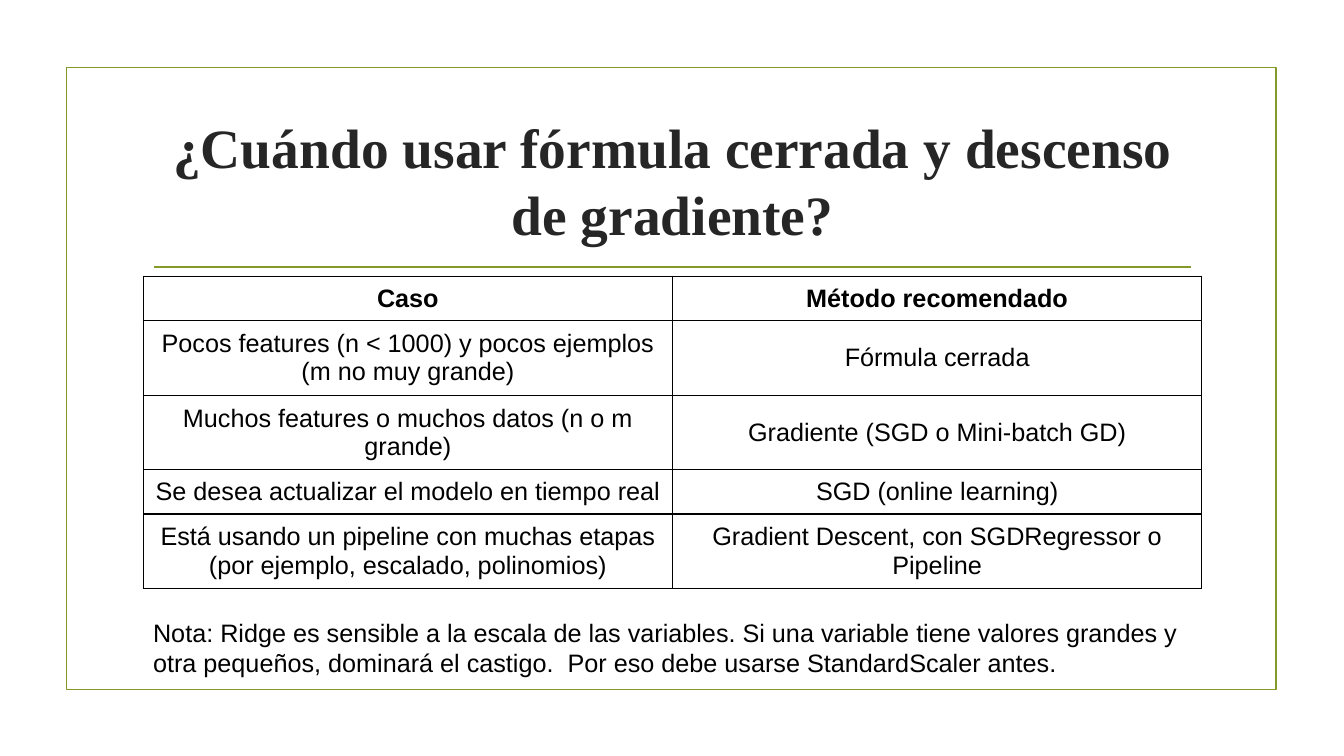
from pptx import Presentation
from pptx.dml.color import RGBColor
from pptx.enum.shapes import MSO_CONNECTOR, MSO_SHAPE
from pptx.enum.text import MSO_ANCHOR, PP_ALIGN
from pptx.oxml import parse_xml
from pptx.oxml.ns import nsdecls
from pptx.util import Inches, Pt

RECT = MSO_SHAPE.RECTANGLE
STRAIGHT = MSO_CONNECTOR.STRAIGHT
MIDDLE, TOP = MSO_ANCHOR.MIDDLE, MSO_ANCHOR.TOP
CENTER, LEFT = PP_ALIGN.CENTER, PP_ALIGN.LEFT

COLORS = {"olive": "83992A", "title": "262626", "black": "000000"}
CONTENT_LEFT, CONTENT_WIDTH = 1.42, 10.5


def write(tf, text, size=18, font="Arial", color="black", bold=False, align=LEFT):
    tf.word_wrap = True
    p = tf.paragraphs[0]
    p.alignment = align
    r = p.add_run()
    r.text = text
    r.font.size = Pt(size)
    r.font.name = font
    r.font.bold = bold
    r.font.color.rgb = RGBColor.from_string(COLORS[color])


def add_borders(cell):
    tc_pr = cell._tc.get_or_add_tcPr()
    for i, side in enumerate(("lnL", "lnR", "lnT", "lnB")):
        tc_pr.insert(i, parse_xml(
            f'<a:{side} {nsdecls("a")} w="{Pt(1)}"><a:solidFill>'
            f'<a:srgbClr val="{COLORS["black"]}"/></a:solidFill></a:{side}>'))


prs = Presentation()
prs.slide_width, prs.slide_height = Inches(13.33), Inches(7.5)
s = prs.slides.add_slide(prs.slide_layouts[6])

# Frame and title rule
olive = RGBColor.from_string(COLORS["olive"])
frame = s.shapes.add_shape(RECT, Inches(0.66), Inches(0.67), Inches(12), Inches(6.17))
frame.shadow.inherit = False
frame.fill.background()
rule = s.shapes.add_connector(STRAIGHT, Inches(1.53), Inches(2.65),
                              Inches(11.81), Inches(2.65))
rule._element.spPr.append(parse_xml(f'<a:effectLst {nsdecls("a")}/>'))
for sp in (frame, rule):
    sp.line.color.rgb = olive
    sp.line.width = Pt(1.25)

# Title and note
texts = [
    (1.07, 1.43, MIDDLE, "¿Cuándo usar fórmula cerrada y descenso de gradiente?",
     {"size": 39.6, "font": "Times New Roman", "color": "title",
      "bold": True, "align": CENTER}),
    (6.07, 0.71, TOP,
     "Nota: Ridge es sensible a la escala de las variables. Si una variable tiene "
     "valores grandes y otra pequeños, dominará el castigo.  Por eso debe usarse "
     "StandardScaler antes.", {}),
]
for top, height, anchor, text, style in texts:
    sp = s.shapes.add_textbox(Inches(CONTENT_LEFT), Inches(top),
                              Inches(CONTENT_WIDTH), Inches(height))
    sp.text_frame.vertical_anchor = anchor
    write(sp.text_frame, text, **style)

# Table of cases and methods
rows = [
    (0.44, "Caso", "Método recomendado"),
    (0.74, "Pocos features (n < 1000) y pocos ejemplos (m no muy grande)",
     "Fórmula cerrada"),
    (0.74, "Muchos features o muchos datos (n o m grande)",
     "Gradiente (SGD o Mini-batch GD)"),
    (0.44, "Se desea actualizar el modelo en tiempo real", "SGD (online learning)"),
    (0.74, "Está usando un pipeline con muchas etapas (por ejemplo, escalado, polinomios)",
     "Gradient Descent, con SGDRegressor o Pipeline"),
]
table = s.shapes.add_table(len(rows), 2, Inches(CONTENT_LEFT), Inches(2.74),
                           Inches(CONTENT_WIDTH), Inches(3.1)).table
table.horz_banding = False
for i, (height, *labels) in enumerate(rows):
    table.rows[i].height = Inches(height)
    for j, label in enumerate(labels):
        cell = table.cell(i, j)
        cell.fill.background()
        cell.vertical_anchor = MIDDLE
        add_borders(cell)
        write(cell.text_frame, label, bold=i == 0, align=CENTER)

prs.save("out.pptx")
